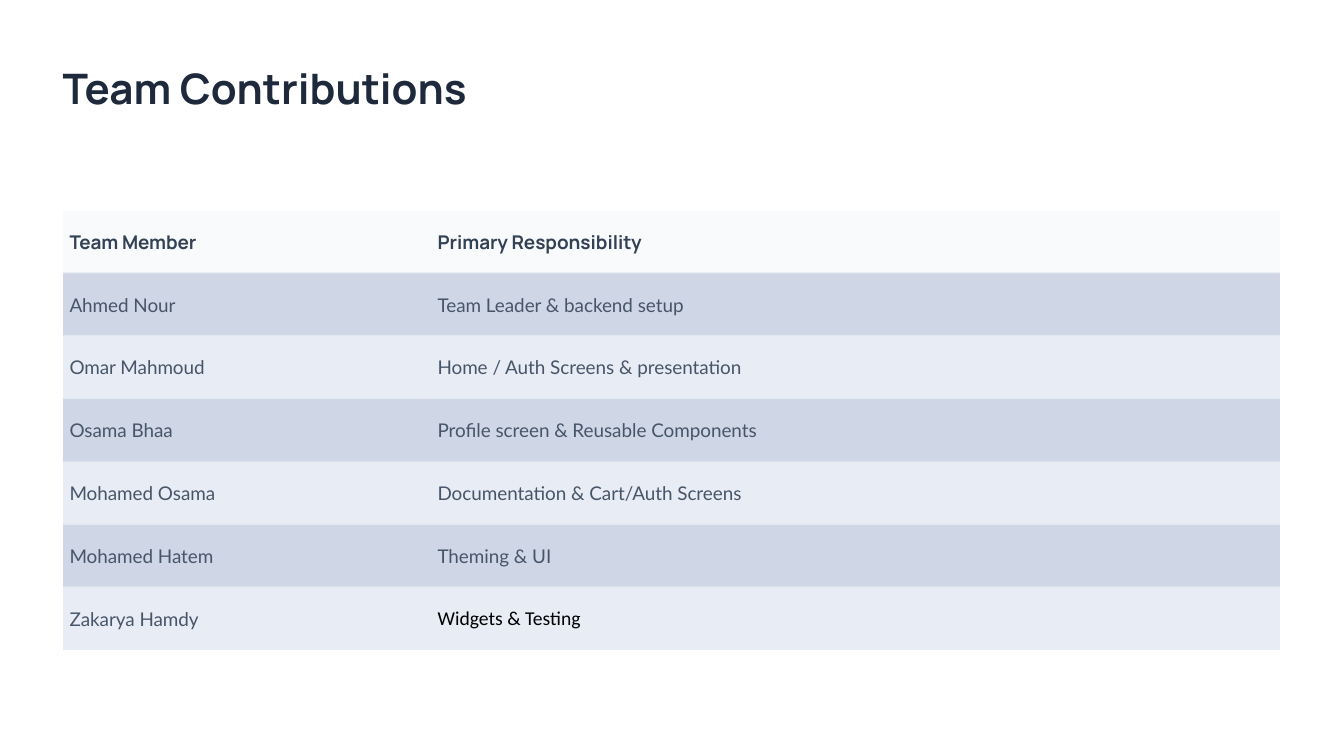
"""Build the Team Contributions slide."""
from dataclasses import dataclass

from pptx import Presentation
from pptx.dml.color import RGBColor
from pptx.enum.shapes import MSO_SHAPE
from pptx.enum.text import MSO_ANCHOR
from pptx.oxml.ns import qn
from pptx.slide import Slide
from pptx.table import Table
from pptx.text.text import TextFrame
from pptx.util import Inches, Pt

RECT = MSO_SHAPE.RECTANGLE
MIDDLE = MSO_ANCHOR.MIDDLE
NO_STYLE = "{2D5ABB26-0587-4C30-8999-92F81FD0307C}"


@dataclass(frozen=True)
class TextStyle:
    font: str
    size: float
    color: str
    bold: bool = False


@dataclass(frozen=True)
class Theme:
    title: TextStyle = TextStyle("Manrope", 30, "1E293B", True)
    header: TextStyle = TextStyle("Manrope", 13.5, "334155", True)
    body: TextStyle = TextStyle("Lato", 13.5, "475569")
    plain: TextStyle = TextStyle("Calibri", 14, "000000")
    header_fill: str = "F8FAFC"
    bands: tuple[str, str] = ("CFD7E7", "E8ECF4")
    rule: str = "E2E8F0"


@dataclass(frozen=True)
class Member:
    name: str
    duty: str
    duty_style: TextStyle


THEME = Theme()
HEADINGS = ("Team Member", "Primary Responsibility")
MEMBERS = (
    Member("Ahmed Nour", "Team Leader & backend setup", THEME.body),
    Member("Omar Mahmoud", "Home / Auth Screens & presentation", THEME.body),
    Member("Osama Bhaa", "Profile screen & Reusable Components", THEME.body),
    Member("Mohamed Osama", "Documentation & Cart/Auth Screens", THEME.body),
    Member("Mohamed Hatem", "Theming & UI", THEME.body),
    Member("Zakarya Hamdy", "Widgets & Testing", THEME.plain),
)
LEFT, TOP, HEIGHT = 0.62, 2.09, 4.36
COLUMNS = (3.65, 8.43)
ROW_HEIGHT = HEIGHT / (len(MEMBERS) + 1)
RULE_HEIGHT = 0.01


def write(tf: TextFrame, text: str, style: TextStyle) -> None:
    r = tf.paragraphs[0].add_run()
    r.text = text
    formats = {"name": style.font, "size": Pt(style.size), "bold": style.bold}
    for key, value in formats.items():
        setattr(r.font, key, value)
    r.font.color.rgb = RGBColor.from_string(style.color)


def add_title(s: Slide) -> None:
    box = s.shapes.add_textbox(Inches(LEFT), Inches(0.62), Inches(12.69), Inches(0.62))
    tf = box.text_frame
    formats = {"word_wrap": True, "margin_left": 0, "margin_right": 0,
               "margin_top": 0, "margin_bottom": 0}
    for key, value in formats.items():
        setattr(tf, key, value)
    write(tf, "Team Contributions", THEME.title)


def fill_row(table: Table, row: int, texts: tuple[str, str],
             styles: tuple[TextStyle, TextStyle], color: str) -> None:
    formats = {"vertical_anchor": MIDDLE,
               "margin_left": Inches(0.07), "margin_right": Inches(0.07),
               "margin_top": Inches(0.03), "margin_bottom": Inches(0.03)}
    for col, (text, style) in enumerate(zip(texts, styles)):
        cell = table.cell(row, col)
        for key, value in formats.items():
            setattr(cell, key, value)
        cell.fill.solid()
        cell.fill.fore_color.rgb = RGBColor.from_string(color)
        write(cell.text_frame, text, style)


def add_team_table(s: Slide) -> None:
    frame = s.shapes.add_table(len(MEMBERS) + 1, len(COLUMNS), Inches(LEFT), Inches(TOP),
                               Inches(sum(COLUMNS)), Inches(HEIGHT))
    table = frame.table
    table.first_row = table.horz_banding = False
    table._tbl.tblPr.find(qn("a:tableStyleId")).text = NO_STYLE
    for column, width in zip(table.columns, COLUMNS):
        column.width = Inches(width)
    for row in table.rows:
        row.height = Inches(ROW_HEIGHT)
    fill_row(table, 0, HEADINGS, (THEME.header, THEME.header), THEME.header_fill)
    for i, member in enumerate(MEMBERS):
        fill_row(table, i + 1, (member.name, member.duty),
                 (THEME.body, member.duty_style), THEME.bands[i % 2])


def add_rule(s: Slide, left: float, top: float, width: float) -> None:
    sp = s.shapes.add_shape(RECT, Inches(left), Inches(top), Inches(width), Inches(RULE_HEIGHT))
    sp.shadow.inherit = False
    sp.fill.solid()
    sp.fill.fore_color.rgb = RGBColor.from_string(THEME.rule)
    sp.line.fill.background()


def main() -> None:
    prs = Presentation()
    prs.slide_width, prs.slide_height = Inches(13.33), Inches(7.5)
    s = prs.slides.add_slide(prs.slide_layouts[6])
    add_team_table(s)
    for row in range(1, len(MEMBERS) + 1):
        for col, width in enumerate(COLUMNS):
            add_rule(s, LEFT + sum(COLUMNS[:col]), TOP + row * ROW_HEIGHT - RULE_HEIGHT, width)
    add_title(s)
    prs.save("out.pptx")


if __name__ == "__main__":
    main()
